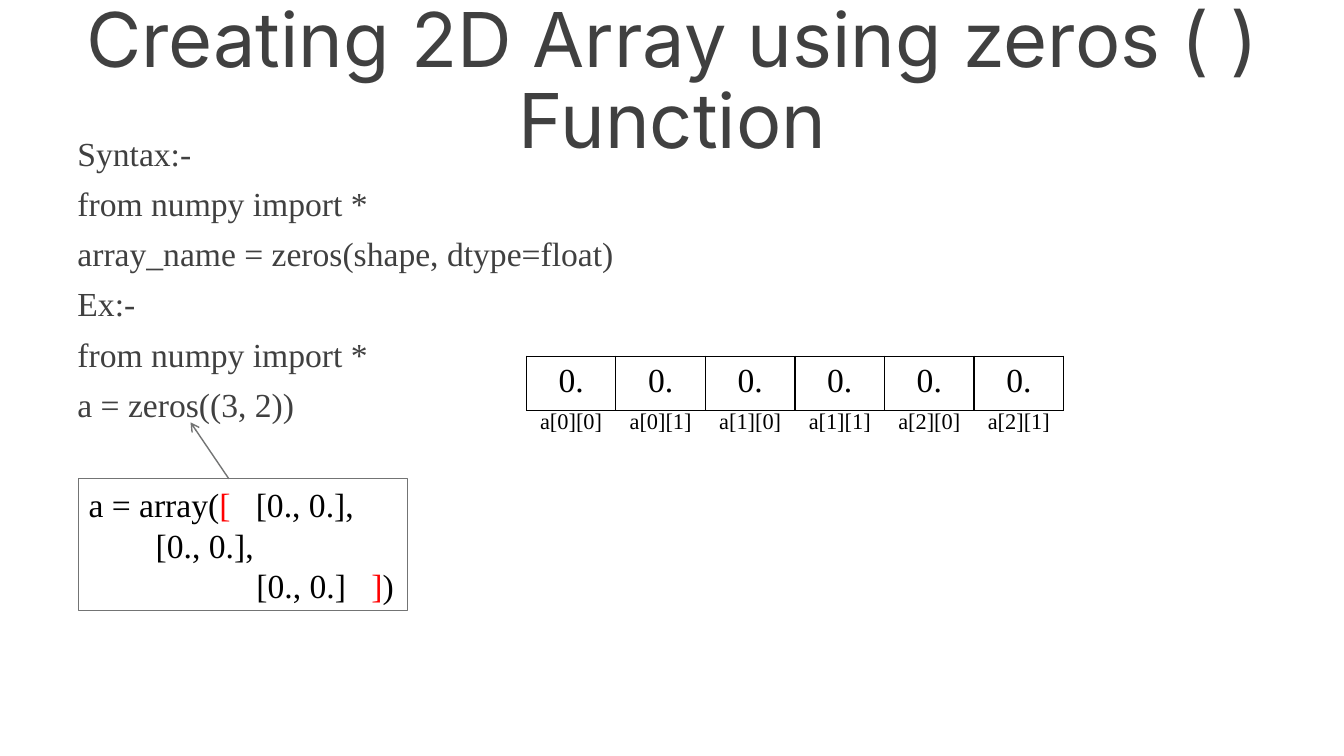
from lxml import etree
from pptx import Presentation
from pptx import util as u
from pptx.dml.color import RGBColor
from pptx.enum import shapes, text
from pptx.oxml import ns

COLORS = {"title": "404040", "ink": "000000", "accent": "FF0000",
          "line": "737474", "paper": "FFFFFF"}
SERIF = "Times New Roman"

presentation = Presentation()
presentation.slide_width = u.Inches(13.33)
presentation.slide_height = u.Inches(7.5)
slide = presentation.slides.add_slide(presentation.slide_layouts[6])


def add_run(paragraph, words, color, size, name=SERIF):
    run = paragraph.add_run()
    run.text = words
    for key, value in {"size": u.Pt(size), "name": name}.items():
        setattr(run.font, key, value)
    run.font.color.rgb = RGBColor.from_string(COLORS[color])


def add_line(parent, tag, color, width):
    line = etree.SubElement(parent, ns.qn(tag), w=str(u.Pt(width)))
    fill = etree.SubElement(line, ns.qn("a:solidFill"))
    etree.SubElement(fill, ns.qn("a:srgbClr"), val=COLORS[color])


# Title and code lines
syntax_lines = ["Syntax:-", "from numpy import *",
                "array_name = zeros(shape, dtype=float)",
                "Ex:-", "from numpy import *", "a = zeros((3, 2))"]
text_blocks = [
    (-0.03, 1.25, ["Creating 2D Array using zeros ( ) Function"],
     54, "Inter", text.PP_ALIGN.CENTER),
    (1.31, 5.78, syntax_lines, 24, SERIF, text.PP_ALIGN.LEFT),
]
for top, height, lines, size, name, alignment in text_blocks:
    box = slide.shapes.add_textbox(u.Inches(0.67), u.Inches(top),
                                   u.Inches(12), u.Inches(height))
    frame = box.text_frame
    frame.word_wrap = True
    for index, words in enumerate(lines):
        paragraph = frame.add_paragraph() if index else frame.paragraphs[0]
        layout = {"alignment": alignment, "line_spacing": 0.9,
                  "space_before": u.Pt(10 if index else 0)}
        for key, value in layout.items():
            setattr(paragraph, key, value)
        add_run(paragraph, words, "title", size, name)

# Element values, with their indexes below
values = ["0."] * 6
indexes = [f"a[{row}][{column}]" for row in range(3) for column in range(2)]
cell_format = {"margin_left": u.Inches(0.13), "margin_right": u.Inches(0.13),
               "margin_top": u.Inches(0.07), "margin_bottom": u.Inches(0.07)}
for top, labels, size, bordered in [(3.53, values, 24, True),
                                    (3.99, indexes, 16, False)]:
    table = slide.shapes.add_table(1, len(labels), u.Inches(5.22), u.Inches(top),
                                   u.Inches(5.33), u.Inches(0.54)).table
    table.first_row = table.horz_banding = False
    last = len(labels) - 1
    for index, words in enumerate(labels):
        table.columns[index].width = u.Inches(5.33 / len(labels))
        cell = table.cell(0, index)
        for key, value in cell_format.items():
            setattr(cell, key, value)
        properties = cell._tc.get_or_add_tcPr()
        inner = {"a:lnL": index > 0, "a:lnR": index < last,
                 "a:lnT": False, "a:lnB": False}
        for tag, is_inner in inner.items():
            if bordered:
                add_line(properties, tag, "ink", 1 if is_inner else 0.25)
            else:
                line = etree.SubElement(properties, ns.qn(tag), w="0")
                etree.SubElement(line, ns.qn("a:noFill"))
        cell.fill.background()
        paragraph = cell.text_frame.paragraphs[0]
        paragraph.alignment = text.PP_ALIGN.CENTER
        add_run(paragraph, words, "ink", size)

# Resulting array
result = slide.shapes.add_shape(shapes.MSO_SHAPE.RECTANGLE, u.Inches(0.78),
                                u.Inches(4.75), u.Inches(3.26), u.Inches(1.31))
result.shadow.inherit = False
result.fill.solid()
result.fill.fore_color.rgb = RGBColor.from_string(COLORS["paper"])
result.line.color.rgb = RGBColor.from_string(COLORS["line"])
result.line.width = u.Pt(1)
frame = result.text_frame
frame_format = {"word_wrap": False, "auto_size": text.MSO_AUTO_SIZE.SHAPE_TO_FIT_TEXT,
                "vertical_anchor": text.MSO_ANCHOR.MIDDLE}
for key, value in frame_format.items():
    setattr(frame, key, value)
result_lines = [
    [("a = array(", "ink"), ("[   ", "accent"), ("[0., 0.],", "ink")],
    [("\t  [0., 0.],", "ink")],
    [("                    [0., 0.]   ", "ink"), ("]", "accent"), (")", "ink")],
]
for index, pieces in enumerate(result_lines):
    paragraph = frame.add_paragraph() if index else frame.paragraphs[0]
    paragraph.alignment = text.PP_ALIGN.LEFT
    for words, color in pieces:
        add_run(paragraph, words, color, 24)

# Arrow from the result to the call
arrow = slide.shapes.add_connector(shapes.MSO_CONNECTOR.STRAIGHT, u.Inches(2.27),
                                   u.Inches(4.75), u.Inches(1.89), u.Inches(4.19))
arrow.line.color.rgb = RGBColor.from_string(COLORS["line"])
arrow.line.width = u.Pt(1)
etree.SubElement(arrow.line._get_or_add_ln(), ns.qn("a:tailEnd"), type="arrow")
etree.SubElement(arrow._element.spPr, ns.qn("a:effectLst"))

presentation.save("out.pptx")
